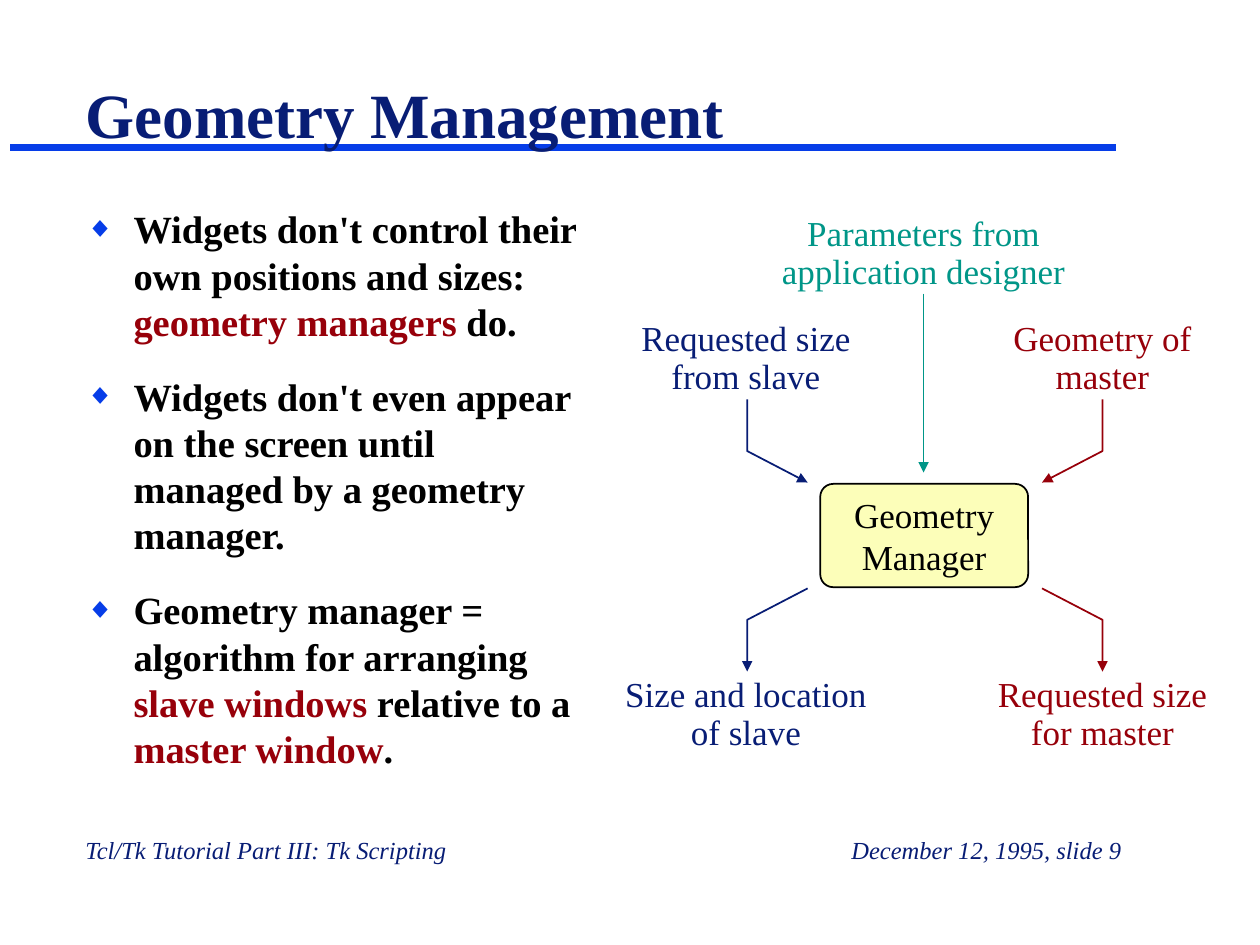
from lxml.etree import SubElement
from pptx import Presentation
from pptx.dml.color import RGBColor
from pptx.enum.shapes import MSO_CONNECTOR, MSO_SHAPE
from pptx.enum.text import MSO_ANCHOR as ANCHOR, MSO_AUTO_SIZE as AUTO, PP_ALIGN as ALIGN
from pptx.oxml.ns import qn
from pptx.util import Inches, Pt

FONT = "Times New Roman"
NAVY, BLUE, RED, TEAL = "081D75", "063DE8", "97000A", "009688"
BLACK, YELLOW = "000000", "FCFEB9"

TITLE = "Geometry Management"
BULLETS = [
    [("Widgets don't control their own positions and sizes: ", BLACK),
     ("geometry managers ", RED), ("do.", BLACK)],
    [("Widgets don't even appear on the screen until managed by a geometry manager.", BLACK)],
    [("Geometry manager = algorithm for arranging ", BLACK), ("slave windows ", RED),
     ("relative to a ", BLACK), ("master window", RED), (".", BLACK)],
]
FOOTERS = [("Tcl/Tk Tutorial Part III: Tk Scripting", 0.58, ALIGN.LEFT),
           ("December 12, 1995, slide 9", 4.24, ALIGN.RIGHT)]
MANAGER = ["Geometry", "Manager"]
CENTER_X, CENTER_Y = 7.34, 4.25
LABELS = [
    ("Requested size from slave", 5.92, 2.5, 2.01, NAVY),
    ("Parameters from application designer", 7.33, 1.67, 2.84, TEAL),
    ("Geometry of master", 8.75, 2.5, 1.84, RED),
    ("Size and location of slave", 5.92, 5.33, 2.18, NAVY),
    ("Requested size for master", 8.75, 5.33, 2.01, RED),
]
ELBOW = [(1.41, 1.08), (1.41, 0.67), (0.93, 0.42)]
ARROWS = [(1, -1, RED, "tailEnd"), (-1, -1, NAVY, "tailEnd"),
          (-1, 1, NAVY, "headEnd"), (1, 1, RED, "headEnd")]


def rgb(color):
    """Turn a hex string into a colour."""
    return RGBColor.from_string(color)


def add_run(p, text, size=20, color=BLACK, bold=False, italic=False):
    """Append a formatted run to a paragraph."""
    r = p.add_run()
    r.text = text
    f = r.font
    f.name, f.size, f.bold, f.italic = FONT, Pt(size), bold, italic
    f.color.rgb = rgb(color)


def place(sp, x, y, w, h):
    """Move and size a shape in inches."""
    sp.left, sp.top, sp.width, sp.height = (Inches(v) for v in (x, y, w, h))


def add_text(s, text, x, y, w, h, align=ALIGN.LEFT, spacing=1.0, **fmt):
    """Add a wrapped text box holding one paragraph."""
    tf = s.shapes.add_textbox(*(Inches(v) for v in (x, y, w, h))).text_frame
    tf.word_wrap = True
    p = tf.paragraphs[0]
    p.alignment, p.line_spacing = align, spacing
    add_run(p, text, **fmt)


def add_bullet(p):
    """Give a paragraph a hanging blue diamond."""
    pPr = p._p.get_or_add_pPr()
    pPr.set("marL", str(Inches(0.38)))
    pPr.set("indent", str(-Inches(0.38)))
    SubElement(SubElement(pPr, qn("a:buClr")), qn("a:srgbClr"), val=BLUE)
    SubElement(pPr, qn("a:buSzPct"), val="75000")
    SubElement(pPr, qn("a:buFont"), typeface=FONT)
    SubElement(pPr, qn("a:buChar"), char="◆")


def style_line(sp, color, width=1, end=None):
    """Set a line's colour, width and optional arrowhead."""
    sp.line.color.rgb = rgb(color)
    sp.line.width = Pt(width)
    if end:
        SubElement(sp.line._get_or_add_ln(), qn(f"a:{end}"), type="triangle")


def add_line(s, x1, y1, x2, y2, color, width=1, end=None):
    """Add a straight connector without a shadow."""
    ends = (Inches(v) for v in (x1, y1, x2, y2))
    line = s.shapes.add_connector(MSO_CONNECTOR.STRAIGHT, *ends)
    style_line(line, color, width, end)
    SubElement(line._element.spPr, qn("a:effectLst"))
    return line


def add_elbow(s, dx, dy, color, end):
    """Add a bent arrow mirrored around the manager box."""
    pts = [(Inches(CENTER_X + dx * x), Inches(CENTER_Y + dy * y)) for x, y in ELBOW]
    fb = s.shapes.build_freeform(*pts[0])
    fb.add_line_segments(pts[1:], close=False)
    sp = fb.convert_to_shape()
    sp.shadow.inherit = False
    sp.fill.background()
    style_line(sp, color, end=end)


def add_manager(s):
    """Add the central rounded box."""
    box = (Inches(v) for v in (6.51, 3.84, 1.65, 0.82))
    sp = s.shapes.add_shape(MSO_SHAPE.ROUNDED_RECTANGLE, *box)
    sp.adjustments[0] = 0.125
    sp.shadow.inherit = False
    sp.fill.solid()
    sp.fill.fore_color.rgb = rgb(YELLOW)
    style_line(sp, BLACK)
    tf = sp.text_frame
    tf.word_wrap, tf.vertical_anchor = False, ANCHOR.MIDDLE
    for i, text in enumerate(MANAGER):
        p = tf.add_paragraph() if i else tf.paragraphs[0]
        p.alignment = ALIGN.CENTER
        add_run(p, text)


def fill_placeholders(s):
    """Format the title and the bulleted body."""
    title, body = s.placeholders
    place(title, 0.58, 0.04, 8.33, 1.21)
    tf = title.text_frame
    tf.auto_size, tf.vertical_anchor = AUTO.NONE, ANCHOR.BOTTOM
    tf.paragraphs[0].alignment = ALIGN.LEFT
    add_run(tf.paragraphs[0], TITLE, size=36, color=NAVY, bold=True)
    place(body, 0.58, 1.58, 4.17, 4.83)
    tf = body.text_frame
    tf.auto_size = AUTO.NONE
    for i, runs in enumerate(BULLETS):
        p = tf.add_paragraph() if i else tf.paragraphs[0]
        add_bullet(p)
        p.space_before = Pt(16.5 if i else 0)
        for text, color in runs:
            add_run(p, text, size=22, color=color, bold=True)


def main():
    """Build and save the slide."""
    prs = Presentation()
    prs.slide_width, prs.slide_height = Inches(10), Inches(7.5)
    s = prs.slides.add_slide(prs.slide_layouts[1])
    fill_placeholders(s)
    rule = add_line(s, 0.08, 1.17, 8.86, 1.17, BLUE, width=4)
    s.shapes.title._element.addprevious(rule._element)
    for text, x, align in FOOTERS:
        add_text(s, text, x, 6.58, 4.76, 0.33, align, size=14, color=NAVY, italic=True)
    add_manager(s)
    for text, x, y, w, color in LABELS:
        add_text(s, text, x - w / 2, y, w, 0.7, ALIGN.CENTER, 0.9, color=color)
    add_line(s, 7.33, 2.33, 7.33, 3.75, TEAL, end="tailEnd")
    for arrow in ARROWS:
        add_elbow(s, *arrow)
    prs.save("out.pptx")


if __name__ == "__main__":
    main()
